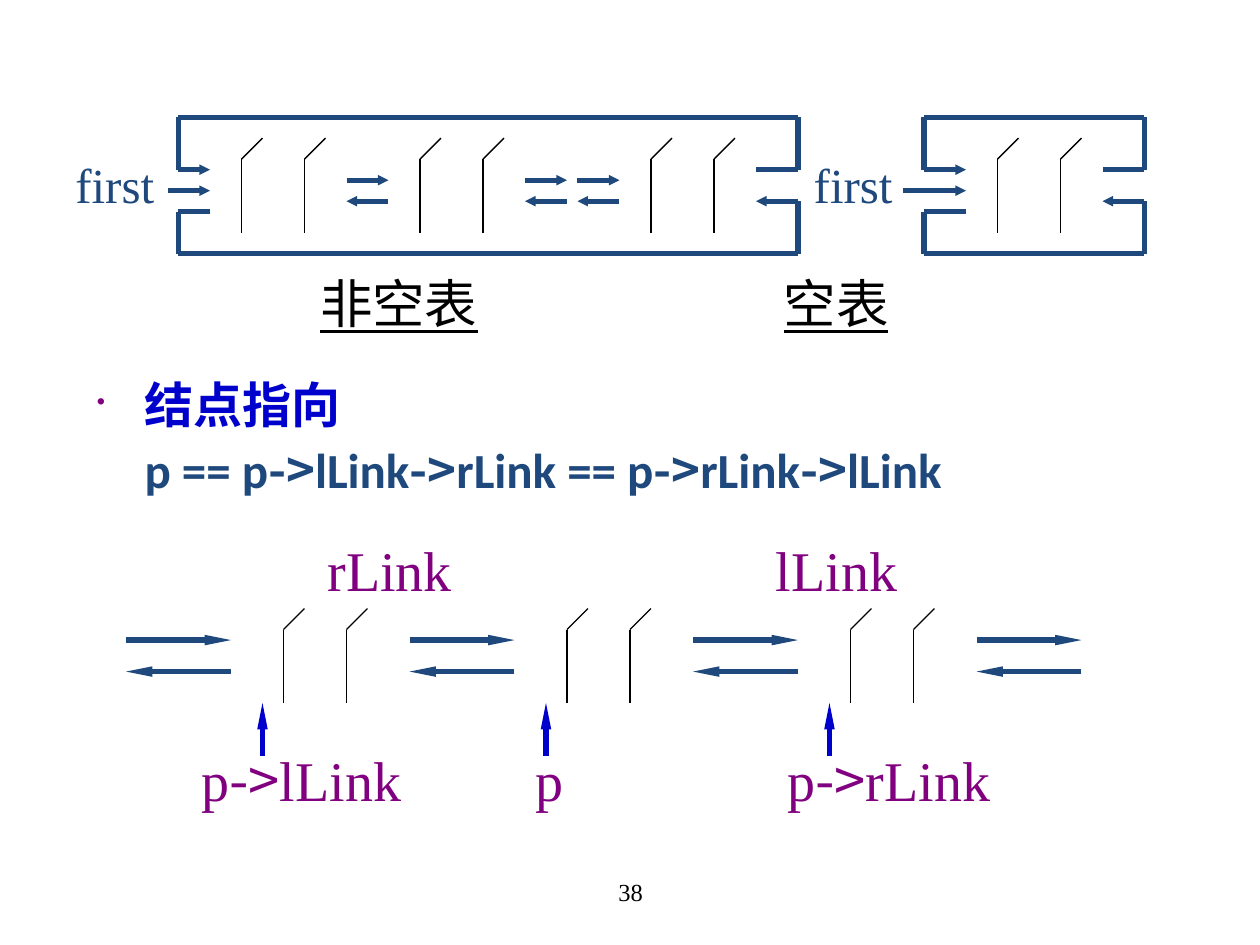
from lxml.etree import SubElement
from pptx import Presentation
from pptx.dml.color import RGBColor
from pptx.enum.shapes import MSO_CONNECTOR
from pptx.enum.text import MSO_ANCHOR, PP_ALIGN
from pptx.oxml.ns import qn
from pptx.util import Inches, Pt

SERIF, SANS, CJK = "Times New Roman", "Calibri", "Noto Sans CJK SC"
NAVY, BLUE, PURPLE, BLACK = "1F497D", "0000CC", "800080", "000000"

# Grid: one unit is 1/12 inch; the list diagrams start at LIST_TOP
UNIT = 1 / 12
LIST_TOP = 0.93
CHAIN_TOP = 4.83

# Content: columns in grid units
rings = [  # left, right, entry column, start of the "first" pointer
    (17, 76, 20, 16),
    (88, 109, 92, 86),
]
list_nodes = [23, 40, 62, 95]
list_links = [33, 50, 55]
chain_nodes = [27, 54, 81]
chain_links = [12, 39, 66, 93]

labels = [  # text, left, top, width, height, size, colour
    ("first", 0.5, 1.18, 0.89, 0.57, 28, NAVY),
    ("first", 6.36, 1.18, 0.89, 0.57, 28, NAVY),
    ("rLink", 2.5, 4.2, 1.31, 0.63, 32, PURPLE),
    ("lLink", 6.06, 4.2, 1.24, 0.63, 32, PURPLE),
    ("p->lLink", 1.5, 5.87, 1.93, 0.63, 32, PURPLE),
    ("p", 4.15, 5.87, 0.45, 0.63, 32, PURPLE),
    ("p->rLink", 6.15, 5.87, 2.27, 0.63, 32, PURPLE),
]
captions = ("非空表", "空表")
heading = "结点指向"
identity = "p == p->lLink->rLink == p->rLink->lLink"
slide_number = "38"

prs = Presentation()
prs.slide_width, prs.slide_height = Inches(10), Inches(7.5)
slide = prs.slides.add_slide(prs.slide_layouts[6])


def color(hex_string):
    return RGBColor.from_string(hex_string)


def line(top, x1, y1, x2, y2, hue=NAVY, width=3, arrow=None):
    """Draw between grid points; arrow is the head length at the end point."""
    x1, x2 = (Inches(x * UNIT) for x in (x1, x2))
    y1, y2 = (Inches(top + y * UNIT) for y in (y1, y2))
    stroke = slide.shapes.add_connector(MSO_CONNECTOR.STRAIGHT, x1, y1, x2, y2)
    stroke.line.color.rgb = color(hue)
    stroke.line.width = Pt(width)
    properties = stroke._element.spPr
    if arrow:
        SubElement(properties.find(qn("a:ln")), qn("a:tailEnd"),
                   type="triangle", w="sm", len=arrow)
    SubElement(properties, qn("a:effectLst"))


def node(top, x):
    for column in (x, x + 6):
        line(top, column, 4 if top == LIST_TOP else 2, column,
             11 if top == LIST_TOP else 9, BLACK, 0.75)
        line(top, column, 4 if top == LIST_TOP else 2, column + 2,
             2 if top == LIST_TOP else 0, BLACK, 0.75)


def link_pair(top, x, length, forward, back, arrow):
    line(top, x, forward, x + length, forward, arrow=arrow)
    line(top, x + length, back, x, back, arrow=arrow)


def textbox(left, top, width, height, wrap=True):
    frame = slide.shapes.add_textbox(*map(Inches, (left, top, width, height))).text_frame
    frame.word_wrap = wrap
    return frame, frame.paragraphs[0]


def style(paragraph, size, hue):
    paragraph.font.size = Pt(size)
    paragraph.font.color.rgb = color(hue)


def add_run(paragraph, text, face):
    run = paragraph.add_run()
    run.text = text
    run.font.name = face
    if face == CJK:
        SubElement(run.font._element, qn("a:ea"), typeface=CJK)
    return run


def add_expression(paragraph, text, face):
    """Names in the given face, with the member arrows in the CJK face."""
    for index, part in enumerate(text.split("->")):
        if index:
            add_run(paragraph, "->", CJK)
        add_run(paragraph, part, face)


# Circular lists: closing loops and "first" pointers
for left, right, entry, pointer in rings:
    inner = right - 4
    line(LIST_TOP, left, 0, right, 0)
    line(LIST_TOP, left, 0, left, 5)
    line(LIST_TOP, right, 0, right, 5)
    line(LIST_TOP, right, 5, inner, 5)
    line(LIST_TOP, left, 5, entry, 5, arrow="sm")
    line(LIST_TOP, pointer, 7, entry, 7, arrow="sm")
    line(LIST_TOP, entry, 9, left, 9)
    line(LIST_TOP, left, 9, left, 13)
    line(LIST_TOP, left, 13, right, 13)
    line(LIST_TOP, right, 8, right, 13)
    line(LIST_TOP, right, 8, inner, 8, arrow="sm")
for x in list_nodes:
    node(LIST_TOP, x)
for x in list_links:
    link_pair(LIST_TOP, x, 4, 6, 8, "sm")

# Chain of three nodes with pointers from below
for x in chain_nodes:
    node(CHAIN_TOP, x)
    line(CHAIN_TOP, x - 2, 14, x - 2, 9, BLUE, arrow="lg")
for x in chain_links:
    link_pair(CHAIN_TOP, x, 10, 3, 6, "lg")

# Diagram labels
for text, left, top, width, height, size, hue in labels:
    _, label = textbox(left, top, width, height, wrap=False)
    style(label, size, hue)
    add_expression(label, text, SERIF)

# Captions under the two lists, set apart by a tab stop
frame, caption = textbox(2.42, 2.09, 6.26, 0.62)
frame.margin_left = frame.margin_right = Inches(0.12)
frame.margin_top = frame.margin_bottom = Inches(0.06)
tabs = SubElement(caption._p.get_or_add_pPr(), qn("a:tabLst"))
SubElement(tabs, qn("a:tab"), pos=str(Inches(3.68)), algn="l")
style(caption, 30, BLACK)
add_run(caption, captions[0], CJK).font.underline = True
add_run(caption, "\t", CJK)
add_run(caption, captions[1], CJK).font.underline = True

# Bulleted statement
_, statement = textbox(0.67, 2.88, 9, 1.33)
bullet = statement._p.get_or_add_pPr()
bullet.set("marL", str(Inches(0.38)))
bullet.set("indent", str(-Inches(0.38)))
SubElement(SubElement(bullet, qn("a:buClr")), qn("a:srgbClr"), val=PURPLE)
SubElement(bullet, qn("a:buSzPct"), val="50000")
SubElement(bullet, qn("a:buChar"), char="•")
statement.line_spacing = 1.1
style(statement, 28, NAVY)
statement.font.bold = True
add_run(statement, heading, SANS).font.color.rgb = color(BLUE)
statement.add_line_break()
add_expression(statement, identity, SANS)

# Slide number
frame, number = textbox(3.42, 6.83, 3.17, 0.5)
frame.vertical_anchor = MSO_ANCHOR.MIDDLE
number.alignment = PP_ALIGN.CENTER
style(number, 14, BLACK)
add_run(number, slide_number, SERIF)

prs.save("out.pptx")
